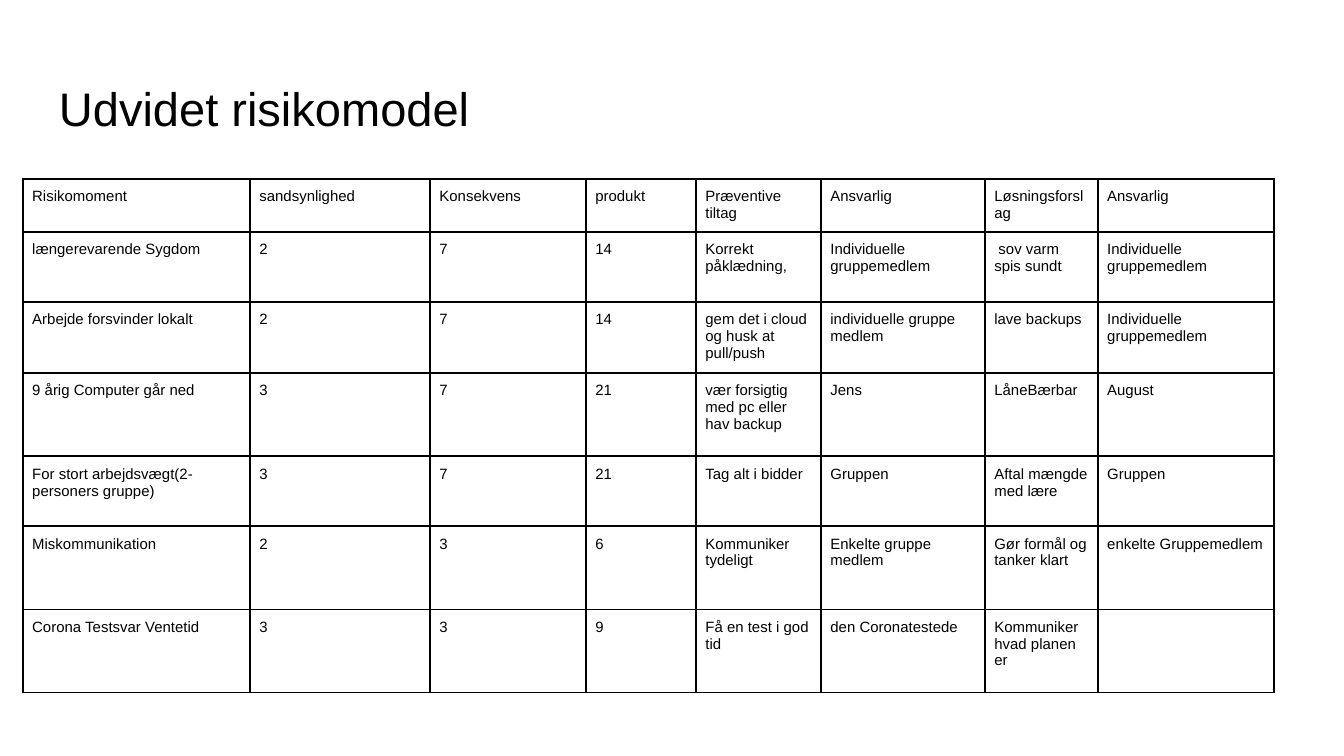
from dataclasses import astuple, dataclass

import pptx
import pptx.dml.color
import pptx.enum.text
import pptx.oxml
import pptx.oxml.ns
import pptx.util
from pptx.util import Inches

BLACK = pptx.dml.color.RGBColor(0x00, 0x00, 0x00)
FONT = "Arial"
SLIDE_WIDTH = Inches(10)
SLIDE_HEIGHT = SLIDE_WIDTH * 9 // 16
COLUMN_WIDTHS = (1.69, 1.34, 1.16, 0.82, 0.93, 1.22, 0.84, 1.31)
ROW_HEIGHTS = (0.31, 0.52, 0.52, 0.62, 0.52, 0.62, 0.62)
CELL_MARGINS = {
    "margin_left": Inches(0.07),
    "margin_right": Inches(0.07),
    "margin_top": Inches(0.07),
    "margin_bottom": Inches(0.06),
}
BORDER_WIDTH = pptx.util.Pt(1)


@dataclass
class Risk:
    moment: str
    probability: str
    consequence: str
    product: str
    prevention: str
    prevention_owner: str
    solution: str
    solution_owner: str


RISKS = [
    Risk("Risikomoment", "sandsynlighed", "Konsekvens", "produkt",
         "Præventive tiltag", "Ansvarlig", "Løsningsforslag", "Ansvarlig"),
    Risk("længerevarende Sygdom", "2", "7", "14", "Korrekt påklædning,",
         "Individuelle gruppemedlem", " sov varm spis sundt", "Individuelle gruppemedlem"),
    Risk("Arbejde forsvinder lokalt", "2", "7", "14", "gem det i cloud og husk at pull/push",
         "individuelle gruppe medlem", "lave backups", "Individuelle gruppemedlem"),
    Risk("9 årig Computer går ned", "3", "7", "21", "vær forsigtig med pc eller hav backup",
         "Jens", "LåneBærbar", "August"),
    Risk("For stort arbejdsvægt(2-personers gruppe)", "3", "7", "21", "Tag alt i bidder",
         "Gruppen", "Aftal mængde med lære", "Gruppen"),
    Risk("Miskommunikation", "2", "3", "6", "Kommuniker tydeligt",
         "Enkelte gruppe medlem", "Gør formål og tanker klart", "enkelte Gruppemedlem"),
    Risk("Corona Testsvar Ventetid", "3", "3", "9", "Få en test i god tid",
         "den Coronatestede", "Kommuniker hvad planen er", ""),
]


def set_attributes(target, values: dict) -> None:
    for name, value in values.items():
        setattr(target, name, value)


def write_text(paragraph, text: str, size: float) -> None:
    paragraph.text = text
    set_attributes(paragraph.font, {"name": FONT, "size": pptx.util.Pt(size)})
    paragraph.font.color.rgb = BLACK


def add_borders(cell) -> None:
    properties = cell._tc.get_or_add_tcPr()
    # Borders must come before the fill
    for position, side in enumerate(("lnL", "lnR", "lnT", "lnB")):
        border = pptx.oxml.parse_xml(
            f'<a:{side} {pptx.oxml.ns.nsdecls("a")} w="{BORDER_WIDTH}">'
            f'<a:solidFill><a:srgbClr val="{BLACK}"/></a:solidFill>'
            f'<a:prstDash val="solid"/></a:{side}>')
        properties.insert(position, border)


def fill_cell(cell, text: str) -> None:
    set_attributes(cell, CELL_MARGINS)
    cell.fill.background()
    add_borders(cell)
    write_text(cell.text_frame.paragraphs[0], text, 8)


def add_heading(slide, text: str) -> None:
    heading = slide.shapes.add_textbox(Inches(0.34), Inches(0.49), Inches(9.32), Inches(0.63))
    margins = {f"margin_{side}": Inches(0.1) for side in ("left", "right", "top", "bottom")}
    set_attributes(heading.text_frame, margins | {
        "word_wrap": True, "vertical_anchor": pptx.enum.text.MSO_ANCHOR.TOP})
    write_text(heading.text_frame.paragraphs[0], text, 25.2)


def add_risk_table(slide, risks: list[Risk]) -> None:
    risk_table = slide.shapes.add_table(
        len(risks), len(COLUMN_WIDTHS), Inches(0.17), Inches(1.33),
        Inches(sum(COLUMN_WIDTHS)), Inches(sum(ROW_HEIGHTS))).table
    set_attributes(risk_table, {"first_row": False, "horz_banding": False})
    for column, width in zip(risk_table.columns, COLUMN_WIDTHS):
        column.width = Inches(width)
    for row, height, risk in zip(risk_table.rows, ROW_HEIGHTS, risks):
        row.height = Inches(height)
        for cell, text in zip(row.cells, astuple(risk)):
            fill_cell(cell, text)


def main() -> None:
    presentation = pptx.Presentation()
    set_attributes(presentation, {"slide_width": SLIDE_WIDTH, "slide_height": SLIDE_HEIGHT})
    slide = presentation.slides.add_slide(presentation.slide_layouts[6])

    # Heading
    add_heading(slide, "Udvidet risikomodel")

    # Risk table, header row included
    add_risk_table(slide, RISKS)

    presentation.save("out.pptx")


if __name__ == "__main__":
    main()
